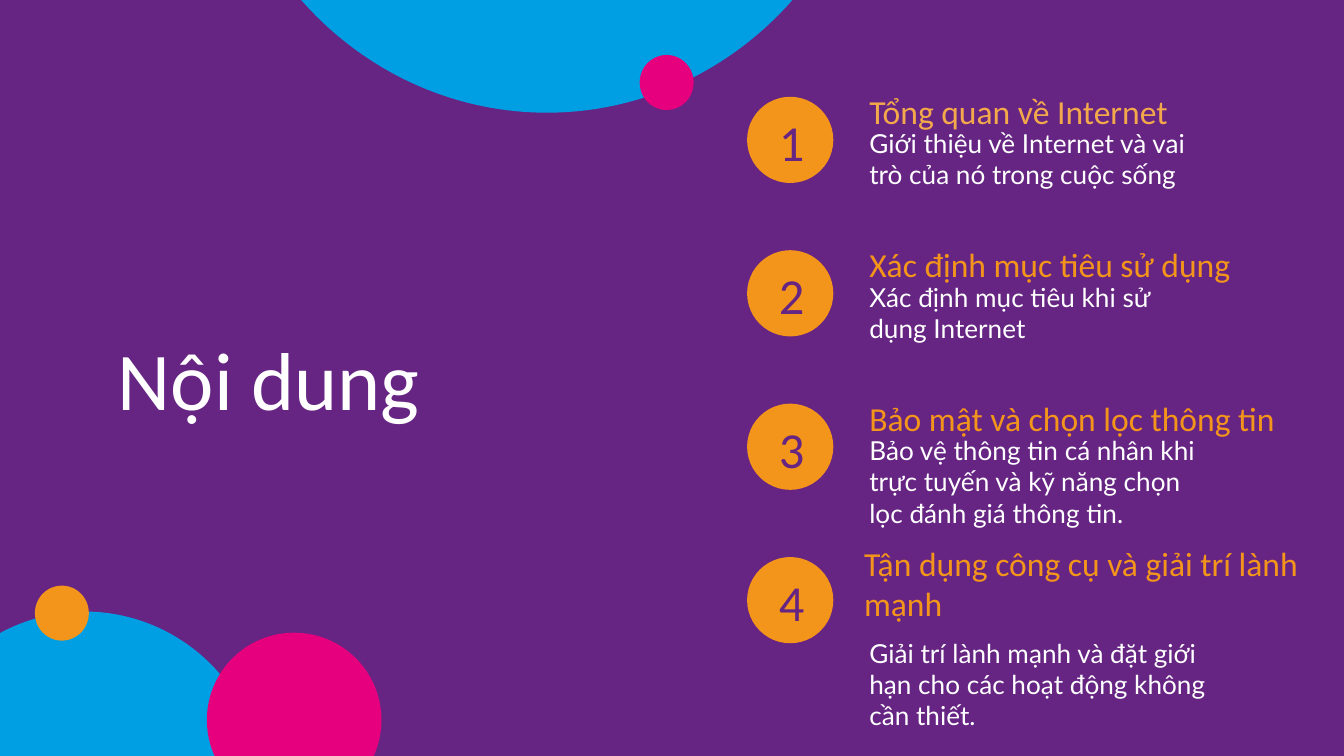
from pptx import Presentation
from pptx.dml.color import RGBColor
from pptx.enum.shapes import MSO_SHAPE
from pptx.enum.text import MSO_ANCHOR, MSO_AUTO_SIZE, PP_ALIGN
from pptx.util import Cm, Pt

PURPLE, BLUE, PINK = "662483", "009FE3", "E6007E"
ORANGE, PEACH, WHITE = "F4951B", "F3A94B", "FFFFFF"
STEP = 2.9

BUBBLES = [
    (-1.78, 11.56, 6.76, 6.83, BLUE),
    (4.06, -10.9, 12.55, 13.03, BLUE),
    (12.09, 1.04, 1.02, 1.04, PINK),
    (0.66, 11.07, 1.02, 1.04, ORANGE),
    (3.91, 11.96, 3.3, 3.3, PINK),
]

TOPICS = [
    ("Tổng quan về Internet", (16.18, 1.47, 7.01, 1.04), PEACH,
     "Giới thiệu về Internet và vai trò của nó trong cuộc sống", 2.16),
    ("Xác định mục tiêu sử dụng", (16.18, 4.37, 8.33, 0.69), ORANGE,
     "Xác định mục tiêu khi sử dụng Internet", 5.06),
    ("Bảo mật và chọn lọc thông tin", (16.18, 7.28, 9.04, 0.84), ORANGE,
     "Bảo vệ thông tin cá nhân khi trực tuyến và kỹ năng chọn lọc đánh giá thông tin.", 7.96),
    ("Tận dụng công cụ và giải trí lành mạnh", (16.08, 10.01, 9.17, 1.04), ORANGE,
     "Giải trí lành mạnh và đặt giới hạn cho các hoạt động không cần thiết.", 11.79),
]


def color(code):
    return RGBColor.from_string(code)


class Painter:
    font = "Calibri"
    inset = Cm(0.25)

    def __init__(self, slide):
        self.slide = slide

    def back(self, code):
        fill = self.slide.background.fill
        fill.solid()
        fill.fore_color.rgb = color(code)

    def circle(self, left, top, width, height, code):
        shape = self.slide.shapes.add_shape(
            MSO_SHAPE.OVAL, Cm(left), Cm(top), Cm(width), Cm(height))
        shape.shadow.inherit = False
        shape.fill.solid()
        shape.fill.fore_color.rgb = color(code)
        shape.line.fill.background()

    def letter(self, shape, text, size, code, font=None,
               align=PP_ALIGN.LEFT, anchor=MSO_ANCHOR.TOP, space=1.0):
        frame = shape.text_frame
        frame.text = text
        frame.word_wrap = True
        frame.auto_size = MSO_AUTO_SIZE.NONE
        frame.vertical_anchor = anchor
        frame.margin_left = frame.margin_right = self.inset
        frame.margin_top = frame.margin_bottom = self.inset
        for para in frame.paragraphs:
            para.alignment = align
            para.line_spacing = space
            for run in para.runs:
                run.font.name = font or self.font
                run.font.size = Pt(size)
                run.font.color.rgb = color(code)

    def title(self, box, text):
        shape = self.slide.shapes.title
        shape.left, shape.top, shape.width, shape.height = map(Cm, box)
        self.letter(shape, text, 44, WHITE, anchor=MSO_ANCHOR.MIDDLE)

    def label(self, box, text, size, code, **style):
        shape = self.slide.shapes.add_textbox(*map(Cm, box))
        self.letter(shape, text, size, code, **style)


def main():
    deck = Presentation()
    deck.slide_width, deck.slide_height = Cm(25.4), Cm(14.29)
    paint = Painter(deck.slides.add_slide(deck.slide_layouts[5]))
    paint.back(PURPLE)
    for bubble in BUBBLES:
        paint.circle(*bubble)
    paint.title((1.98, 4.72, 9.04, 4.83), "Nội dung")
    for row, (head, box, tint, note, top) in enumerate(TOPICS):
        drop = row * STEP
        paint.circle(14.12, 1.83 + drop, 1.63, 1.63, ORANGE)
        paint.label((13.84, 1.96 + drop, 2.24, 1.57), str(row + 1), 27, PURPLE,
                    align=PP_ALIGN.CENTER, anchor=MSO_ANCHOR.MIDDLE, space=0.9)
        paint.label(box, head, 18, tint)
        paint.label((16.18, top, 7.01, 1.52), note, 14, WHITE, font="Lato")
    deck.save("out.pptx")


if __name__ == "__main__":
    main()
